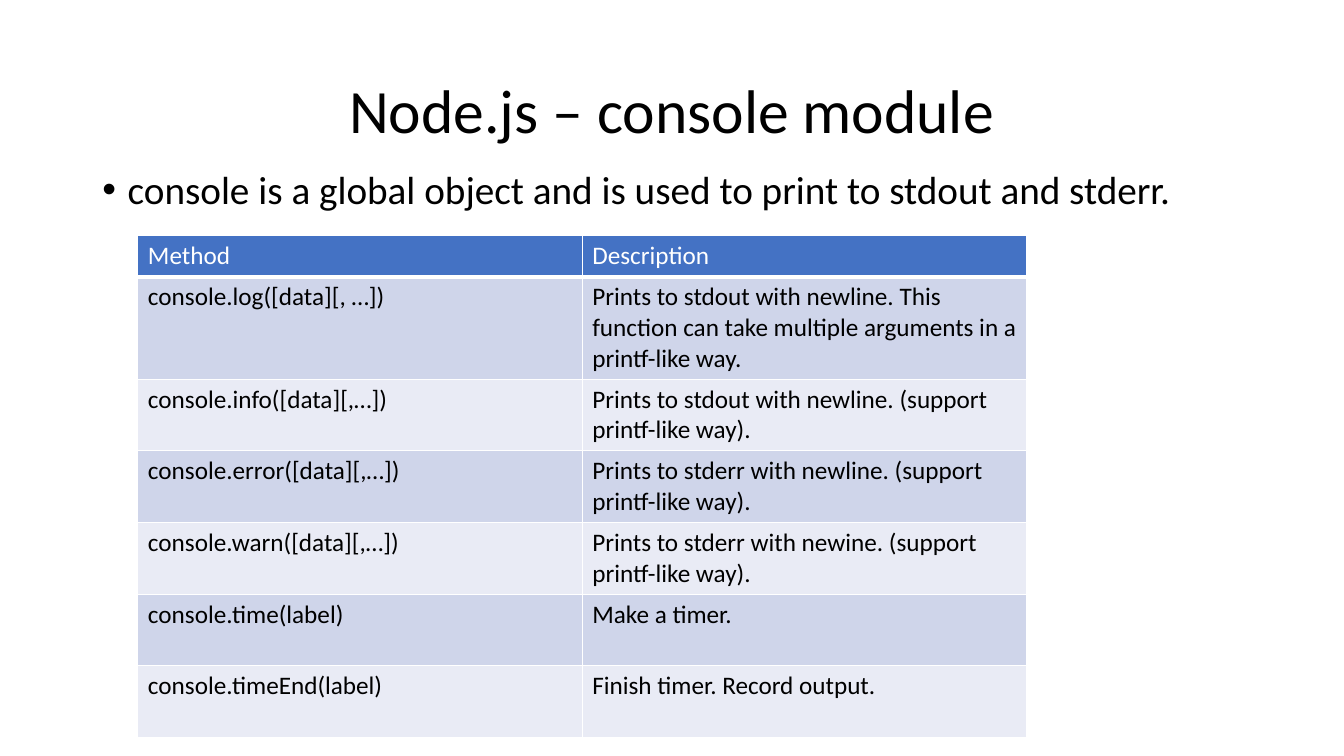
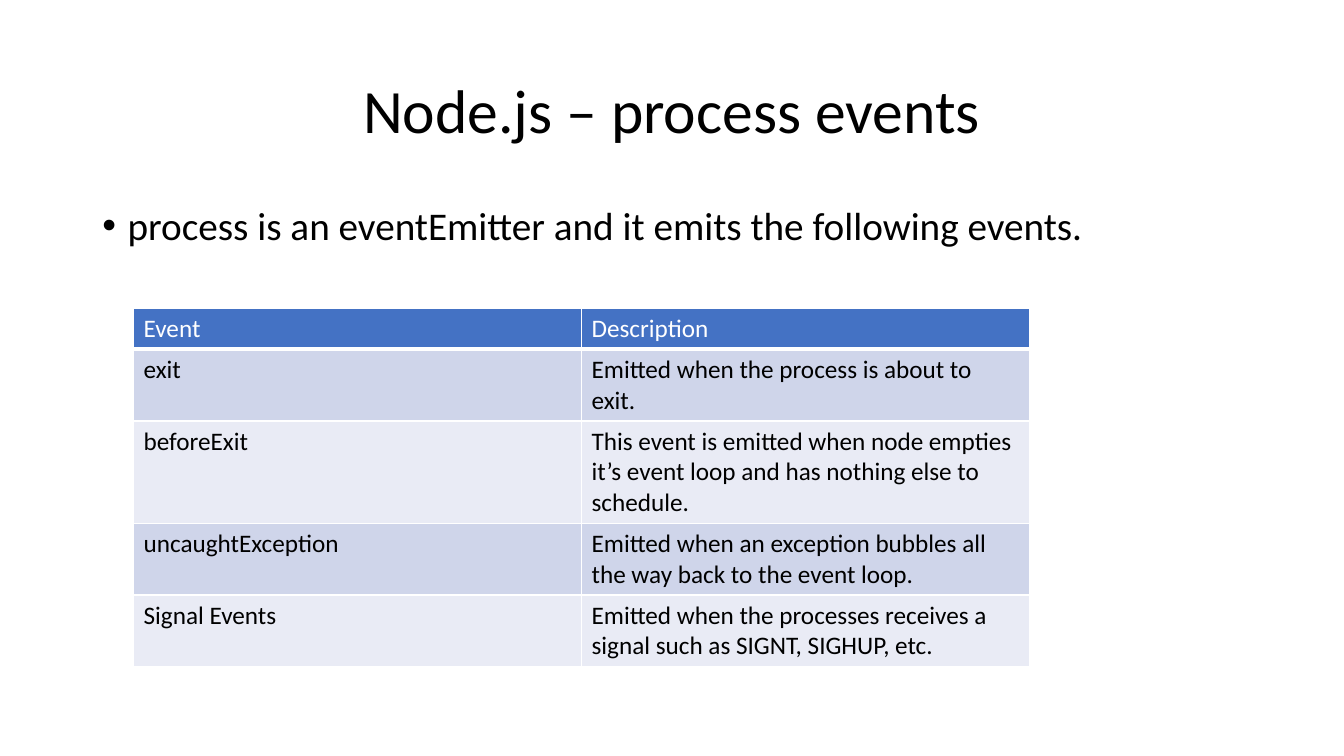
from lxml import etree
from pptx import Presentation
from pptx.dml.color import RGBColor
from pptx.enum.text import MSO_ANCHOR, MSO_AUTO_SIZE, PP_ALIGN
from pptx.oxml.ns import qn
from pptx.util import Pt

CENTER = PP_ALIGN.CENTER
LEFT = PP_ALIGN.LEFT
MIDDLE = MSO_ANCHOR.MIDDLE
TOP = MSO_ANCHOR.TOP
NO_AUTOFIT = MSO_AUTO_SIZE.NONE

BLACK = RGBColor(0x00, 0x00, 0x00)
WHITE = RGBColor(0xFF, 0xFF, 0xFF)
HEADER_BLUE = RGBColor(0x44, 0x72, 0xC4)
BAND_DARK = RGBColor(0xCF, 0xD5, 0xEA)
BAND_LIGHT = RGBColor(0xE9, 0xEB, 0xF5)
FONT = "Calibri"

MARGIN_LEFT, CONTENT_WIDTH = 66, 828
TITLE_TOP, TITLE_HEIGHT = 28.75, 104.4
BULLET_HEIGHT, BULLET_INDENT = 342.6, 18
# Row heights by number of text lines
ROW_HEIGHTS = {1: 29.2, 2: 51.2, 3: 72.8}
HEADER_BORDERS = {"a:lnL": 1, "a:lnR": 1, "a:lnT": 1, "a:lnB": 3}

SLIDES = [
    {
        "title": "Node.js – console module",
        "bullet": "console is a global object and is used to print to stdout and stderr.",
        "bullet_top": 118,
        "table_at": (98.5, 168.5),
        "column_width": 317.4,
        "rows": [
            (1, "Method", "Description"),
            (3, "console.log([data][, …])",
             "Prints to stdout with newline. This function can take multiple "
             "arguments in a printf-like way."),
            (2, "console.info([data][,…])",
             "Prints to stdout with newline. (support printf-like way)."),
            (2, "console.error([data][,…])",
             "Prints to stderr with newline. (support printf-like way)."),
            (2, "console.warn([data][,…])",
             "Prints to stderr with newine. (support printf-like way)."),
            (2, "console.time(label)", "Make a timer."),
            (2, "console.timeEnd(label)", "Finish timer. Record output."),
        ],
    },
    {
        "title": "Node.js – process events",
        "bullet": "process is an eventEmitter and it emits the following events.",
        "bullet_top": 144,
        "table_at": (95.4, 220.3),
        "column_width": 320,
        "rows": [
            (1, "Event", "Description"),
            (2, "exit", "Emitted when the process is about to exit."),
            (3, "beforeExit",
             "This event is emitted when node empties it’s event loop and has "
             "nothing else to schedule."),
            (2, "uncaughtException",
             "Emitted when an exception bubbles all the way back to the event loop."),
            (2, "Signal Events",
             "Emitted when the processes receives a signal such as SIGNT, SIGHUP, etc."),
        ],
    },
]


def style_paragraph(paragraph, size, color, align=LEFT):
    paragraph.alignment = align
    paragraph.font.name = FONT
    paragraph.font.size = Pt(size)
    paragraph.font.bold = False
    paragraph.font.color.rgb = color


def fill_placeholder(placeholder, text, top, height, size, align, anchor):
    placeholder.left, placeholder.top = Pt(MARGIN_LEFT), Pt(top)
    placeholder.width, placeholder.height = Pt(CONTENT_WIDTH), Pt(height)
    frame = placeholder.text_frame
    frame.text = text
    frame.word_wrap = True
    frame.auto_size = NO_AUTOFIT
    frame.vertical_anchor = anchor
    paragraph = frame.paragraphs[0]
    style_paragraph(paragraph, size, BLACK, align)
    paragraph.line_spacing = 0.9
    return paragraph


prs = Presentation()
prs.slide_width, prs.slide_height = Pt(960), Pt(540)
title_and_content = prs.slide_layouts[1]

for content in SLIDES:
    slide = prs.slides.add_slide(title_and_content)

    # Title and bullet
    fill_placeholder(slide.shapes.title, content["title"], TITLE_TOP,
                     TITLE_HEIGHT, 44, CENTER, MIDDLE)
    bullet = fill_placeholder(slide.placeholders[1], content["bullet"],
                              content["bullet_top"], BULLET_HEIGHT, 28, LEFT, TOP)
    bullet.space_before = Pt(10)
    bullet_properties = bullet._p.get_or_add_pPr()
    bullet_properties.set("marL", str(Pt(BULLET_INDENT)))
    bullet_properties.set("indent", str(-Pt(BULLET_INDENT)))

    # Table
    rows = content["rows"]
    left, top = content["table_at"]
    heights = [ROW_HEIGHTS[lines] for lines, *_ in rows]
    table = slide.shapes.add_table(
        len(rows), 2, Pt(left), Pt(top),
        Pt(2 * content["column_width"]), Pt(sum(heights))).table
    for column in table.columns:
        column.width = Pt(content["column_width"])

    for row_index, (_, *texts) in enumerate(rows):
        table.rows[row_index].height = Pt(heights[row_index])
        is_header = row_index == 0
        band = BAND_DARK if row_index % 2 else BAND_LIGHT
        for column_index, text in enumerate(texts):
            cell = table.cell(row_index, column_index)
            cell.text = text
            style_paragraph(cell.text_frame.paragraphs[0], 18,
                            WHITE if is_header else BLACK)
            # Header borders precede the fill in the cell properties
            if is_header:
                cell_properties = cell._tc.get_or_add_tcPr()
                for side, width in HEADER_BORDERS.items():
                    border = etree.SubElement(cell_properties, qn(side),
                                              w=str(Pt(width)))
                    border_fill = etree.SubElement(border, qn("a:solidFill"))
                    etree.SubElement(border_fill, qn("a:srgbClr"), val=str(WHITE))
            cell.fill.solid()
            cell.fill.fore_color.rgb = HEADER_BLUE if is_header else band

prs.save("out.pptx")
